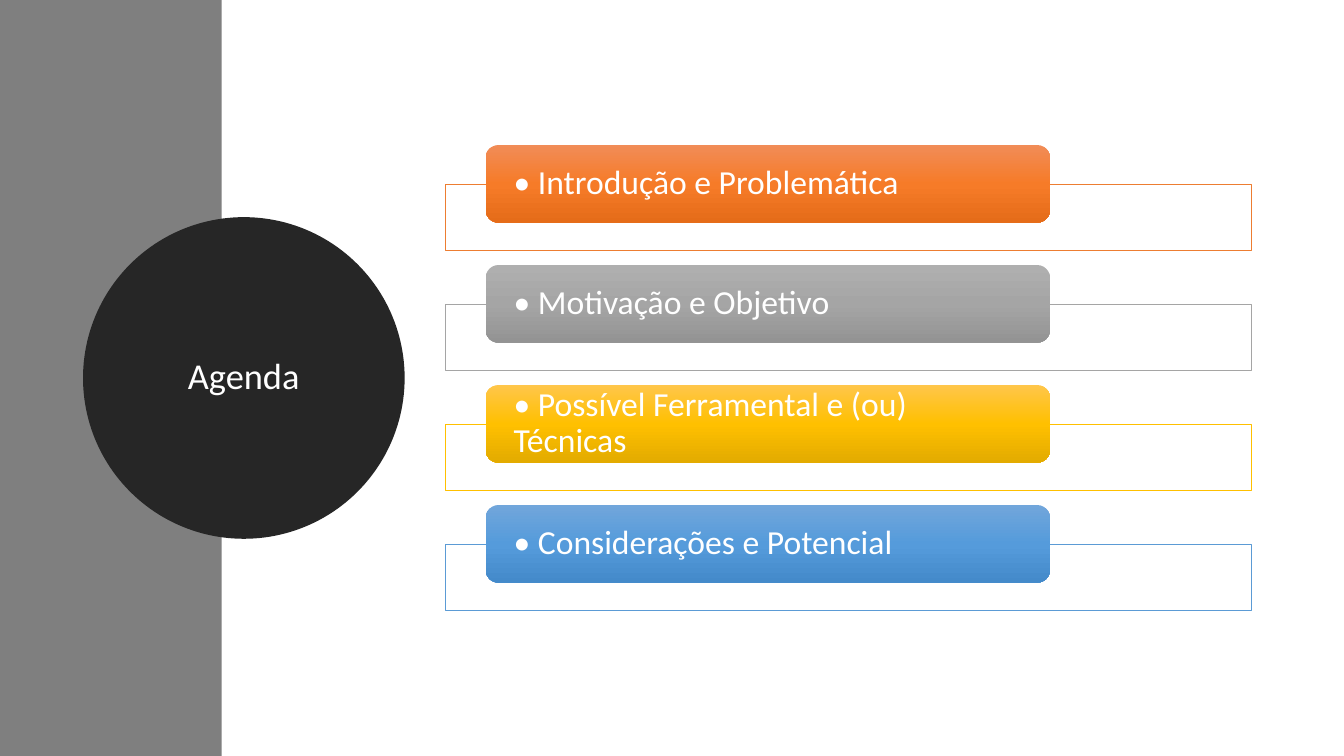
from copy import deepcopy

from lxml.etree import SubElement
from pptx import Presentation
from pptx.dml.color import RGBColor
from pptx.enum.shapes import MSO_SHAPE
from pptx.enum.text import MSO_ANCHOR, PP_ALIGN
from pptx.oxml.ns import qn
from pptx.util import Pt

WHITE = RGBColor(0xFF, 0xFF, 0xFF)
GREY = RGBColor(0x7F, 0x7F, 0x7F)
BLACK = RGBColor(0x26, 0x26, 0x26)
ORANGE = RGBColor(0xED, 0x7D, 0x31)
SILVER = RGBColor(0xA5, 0xA5, 0xA5)
GOLD = RGBColor(0xFF, 0xC0, 0x00)
BLUE = RGBColor(0x5B, 0x9B, 0xD5)
ORANGES = (RGBColor(0xF1, 0x8C, 0x57), RGBColor(0xF6, 0x7B, 0x28), RGBColor(0xE5, 0x6C, 0x19))
SILVERS = (RGBColor(0xAF, 0xAF, 0xAF), SILVER, RGBColor(0x93, 0x93, 0x93))
GOLDS = (RGBColor(0xFF, 0xC6, 0x4B), GOLD, RGBColor(0xE3, 0xAB, 0x00))
BLUES = (RGBColor(0x71, 0xA6, 0xDB), RGBColor(0x55, 0x9B, 0xDB), RGBColor(0x44, 0x8A, 0xCA))

WIDE, HIGH = 960, 540
TOPICS = [
    ("• Introdução e Problemática", ORANGE, ORANGES),
    ("• Motivação e Objetivo", SILVER, SILVERS),
    ("• Possível Ferramental e (ou) Técnicas", GOLD, GOLDS),
    ("• Considerações e Potencial", BLUE, BLUES),
]


def assign(target, values):
    for name, value in values.items():
        setattr(target, name, value)


def add_shape(slide, kind, box, fill=None, line=None, width=0):
    shape = slide.shapes.add_shape(kind, *map(Pt, box))
    shape.shadow.inherit = False
    if fill is not None:
        shape.fill.solid()
        shape.fill.fore_color.rgb = fill
    if line is None:
        shape.line.fill.background()
    else:
        shape.line.color.rgb = line
        shape.line.width = Pt(width)
    return shape


def write(shape, text, size, align, after, inset):
    frame = shape.text_frame
    assign(frame, {"word_wrap": True, "vertical_anchor": MSO_ANCHOR.MIDDLE,
                   "margin_left": Pt(inset), "margin_right": Pt(inset),
                   "margin_top": 0, "margin_bottom": 0})
    para = frame.paragraphs[0]
    assign(para, {"alignment": align, "line_spacing": 0.9, "space_after": Pt(after)})
    run = para.add_run()
    run.text = text
    assign(run.font, {"name": "Calibri", "size": Pt(size)})
    run.font.color.rgb = WHITE


def shade(shape, tones):
    """Fill the shape from top to bottom with three evenly spaced tones."""
    fill = shape.fill
    fill.gradient()
    fill.gradient_angle = 270
    stops = shape._element.spPr.find(qn("a:gradFill")).find(qn("a:gsLst"))
    stops.append(deepcopy(stops[0]))
    for i, (stop, tone) in enumerate(zip(fill.gradient_stops, tones)):
        stop.position = i / 2
        stop.color.rgb = tone


def fade(shape, percent):
    """Set the opacity of a solid fill."""
    color = shape._element.spPr.find(qn("a:solidFill"))[0]
    SubElement(color, qn("a:alpha"), val=str(percent * 1000))


def add_title(slide, box):
    """Draw the side band, with the title disc over its right edge."""
    left, top, width, height = box
    add_shape(slide, MSO_SHAPE.RECTANGLE, box, GREY)
    side = 216
    spot = (left + 66.2, top + (height - side) / 2, side, side)
    disc = add_shape(slide, MSO_SHAPE.OVAL, spot, BLACK, BLACK, 13.75)
    write(disc, "Agenda", 26, PP_ALIGN.CENTER, 6, 7.2)


def add_topic(slide, box, text, edge, tones):
    """Draw an outlined frame with a label tile over its top edge."""
    left, top, width, height = box
    drop = 28.1
    frame = add_shape(slide, MSO_SHAPE.RECTANGLE,
                      (left, top + drop, width, height - drop), WHITE, edge, 0.5)
    fade(frame, 90)
    tile = add_shape(slide, MSO_SHAPE.ROUNDED_RECTANGLE,
                     (left + width * 0.05, top, width * 0.7, 55.4))
    shade(tile, tones)
    write(tile, text, 24, PP_ALIGN.LEFT, 0, 17.3)


def add_topics(slide, box):
    left, top, width, height = box
    gap = 10.3
    tall = (height + gap) / len(TOPICS) - gap
    for i, topic in enumerate(TOPICS):
        add_topic(slide, (left, top + i * (tall + gap), width, tall), *topic)


def main():
    deck = Presentation()
    assign(deck, {"slide_width": Pt(WIDE), "slide_height": Pt(HIGH)})
    slide = deck.slides.add_slide(deck.slide_layouts[6])
    add_title(slide, (0, 0, 158.4, HIGH))
    add_topics(slide, (318.1, 103.6, 576, 332.6))
    deck.save("out.pptx")


if __name__ == "__main__":
    main()
